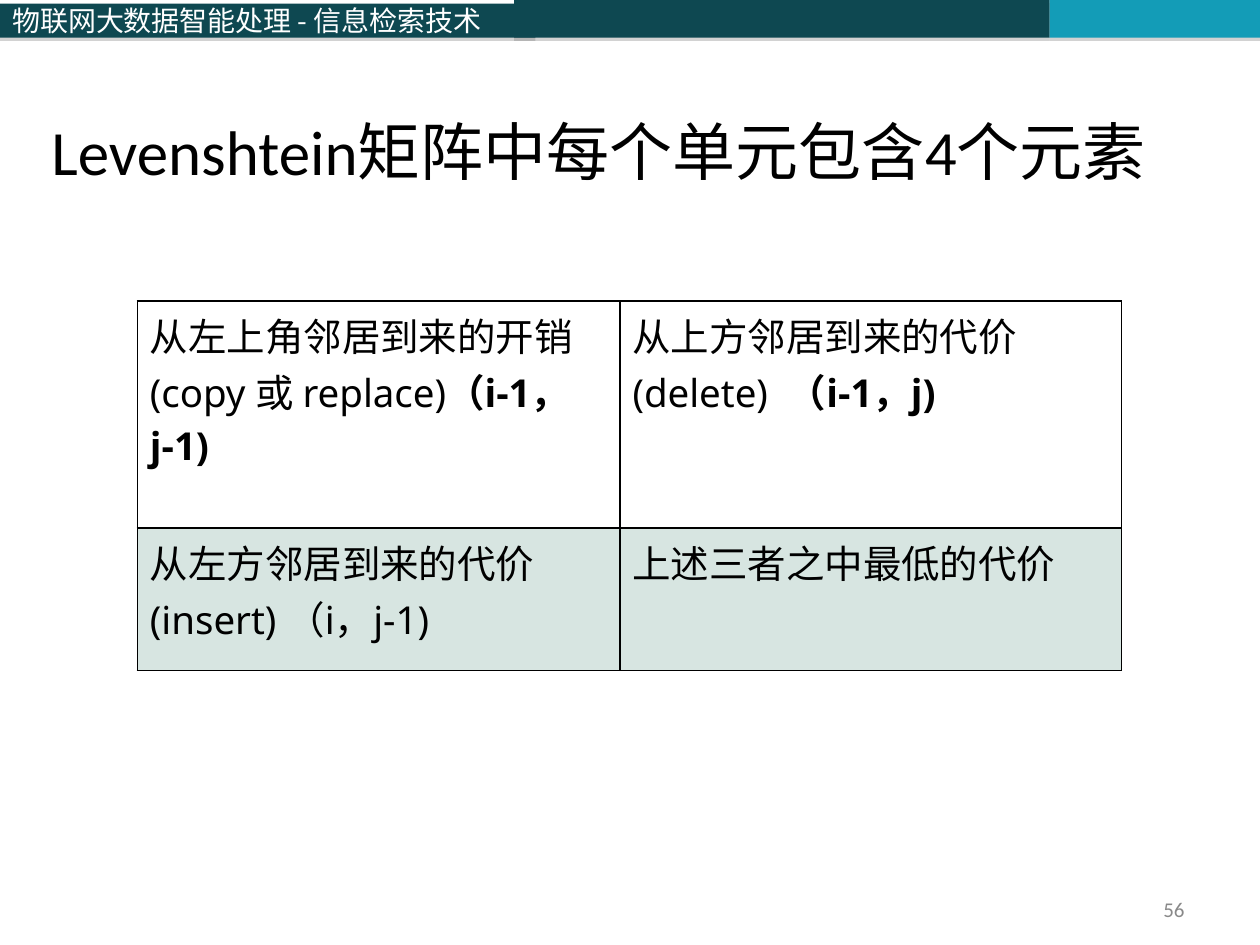
from dataclasses import dataclass

from pptx import Presentation
from pptx import util as u
from pptx.dml.color import RGBColor
from pptx.enum import shapes, text
from pptx.oxml import parse_xml
from pptx.oxml.ns import nsdecls


@dataclass(frozen=True)
class Theme:
    dark: str = "0E4851"
    cyan: str = "139CB7"
    mint: str = "D7E5E1"
    white: str = "FFFFFF"
    black: str = "000000"
    gray: str = "898989"
    shade: str = "808080"
    head: int = 16
    title: int = 36
    body: int = 22
    page: int = 12
    sans: str = "Noto Sans"
    han: str = "Noto Sans CJK SC"
    latin: str = "Calibri"


T = Theme()


def write(frame, *runs, size, font, color=T.black, align=text.PP_ALIGN.LEFT,
          anchor=text.MSO_ANCHOR.TOP):
    """Fill a frame with one paragraph of (words, bold) runs."""
    frame.word_wrap = True
    frame.vertical_anchor = anchor
    para = frame.paragraphs[0]
    para.alignment = align
    for words, bold in runs:
        run = para.add_run()
        run.text = words
        run.font.size = u.Pt(size)
        run.font.name = font
        run.font.bold = bold
        run.font.color.rgb = RGBColor.from_string(color)
        # East Asian glyphs need their own font entry
        run.font._element.append(parse_xml(
            f'<a:ea {nsdecls("a")} typeface="{T.han}"/>'))


deck = Presentation()
deck.slide_width, deck.slide_height = u.Inches(10), u.Inches(7.5)
slide = deck.slides.add_slide(deck.slide_layouts[6])

# Top band
band = [(0, 0.03, 4.25, 0.27, T.dark, "物联网大数据智能处理 - 信息检索技术"),
        (4.08, 0, 4.25, 0.3, T.dark, ""),
        (8.33, 0, 1.67, 0.3, T.cyan, "")]
for *box, color, words in band:
    bar = slide.shapes.add_shape(shapes.MSO_SHAPE.RECTANGLE, *map(u.Inches, box))
    bar.fill.solid()
    bar.fill.fore_color.rgb = RGBColor.from_string(color)
    bar.line.fill.background()
    bar._element.spPr.append(parse_xml(
        f'<a:effectLst {nsdecls("a")}><a:outerShdw blurRad="0" '
        f'dist="{u.Pt(1.8)}" dir="5400000"><a:srgbClr val="{T.shade}">'
        '<a:alpha val="35000"/></a:srgbClr></a:outerShdw></a:effectLst>'))
    if words:
        write(bar.text_frame, (words, False), size=T.head, font=T.han,
              color=T.white, anchor=text.MSO_ANCHOR.MIDDLE)

# Title and page number
title = slide.shapes.add_textbox(*map(u.Inches, (0.31, 0.01, 9.45, 1.53)))
write(title.text_frame, ("Levenshtein矩阵中每个单元包含4个元素", False),
      size=T.title, font=T.latin, anchor=text.MSO_ANCHOR.BOTTOM)
page = slide.shapes.add_textbox(*map(u.Inches, (7.17, 7.08, 2.33, 0.27)))
write(page.text_frame, ("56", False), size=T.page, font=T.latin, color=T.gray,
      align=text.PP_ALIGN.RIGHT, anchor=text.MSO_ANCHOR.MIDDLE)

# Table of the four elements
cells = [
    [[("从左上角邻居到来的开销 (copy 或 replace)", False), ("（i-1，j-1)", True)],
     [("从上方邻居到来的代价 (delete)  ", False), ("（i-1，j)", True)]],
    [[("从左方邻居到来的代价 (insert) （i，j-1)", False)],
     [("上述三者之中最低的代价", False)]],
]
wide, high = (3.83, 3.98), (1.8, 1.13)
grid = slide.shapes.add_table(2, 2, *map(
    u.Inches, (1.09, 2.39, sum(wide), sum(high)))).table
for col, width in zip(grid.columns, wide):
    col.width = u.Inches(width)
for row, height, fill, line in zip(grid.rows, high, (T.white, T.mint), cells):
    row.height = u.Inches(height)
    for cell, runs in zip(row.cells, line):
        cell.fill.solid()
        cell.fill.fore_color.rgb = RGBColor.from_string(fill)
        write(cell.text_frame, *runs, size=T.body, font=T.sans)
        # Borders come before the fill
        for spot, side in enumerate("LRTB"):
            cell._tc.get_or_add_tcPr().insert(spot, parse_xml(
                f'<a:ln{side} {nsdecls("a")} w="{u.Pt(1)}"><a:solidFill>'
                f'<a:srgbClr val="{T.black}"/></a:solidFill></a:ln{side}>'))

deck.save("out.pptx")
